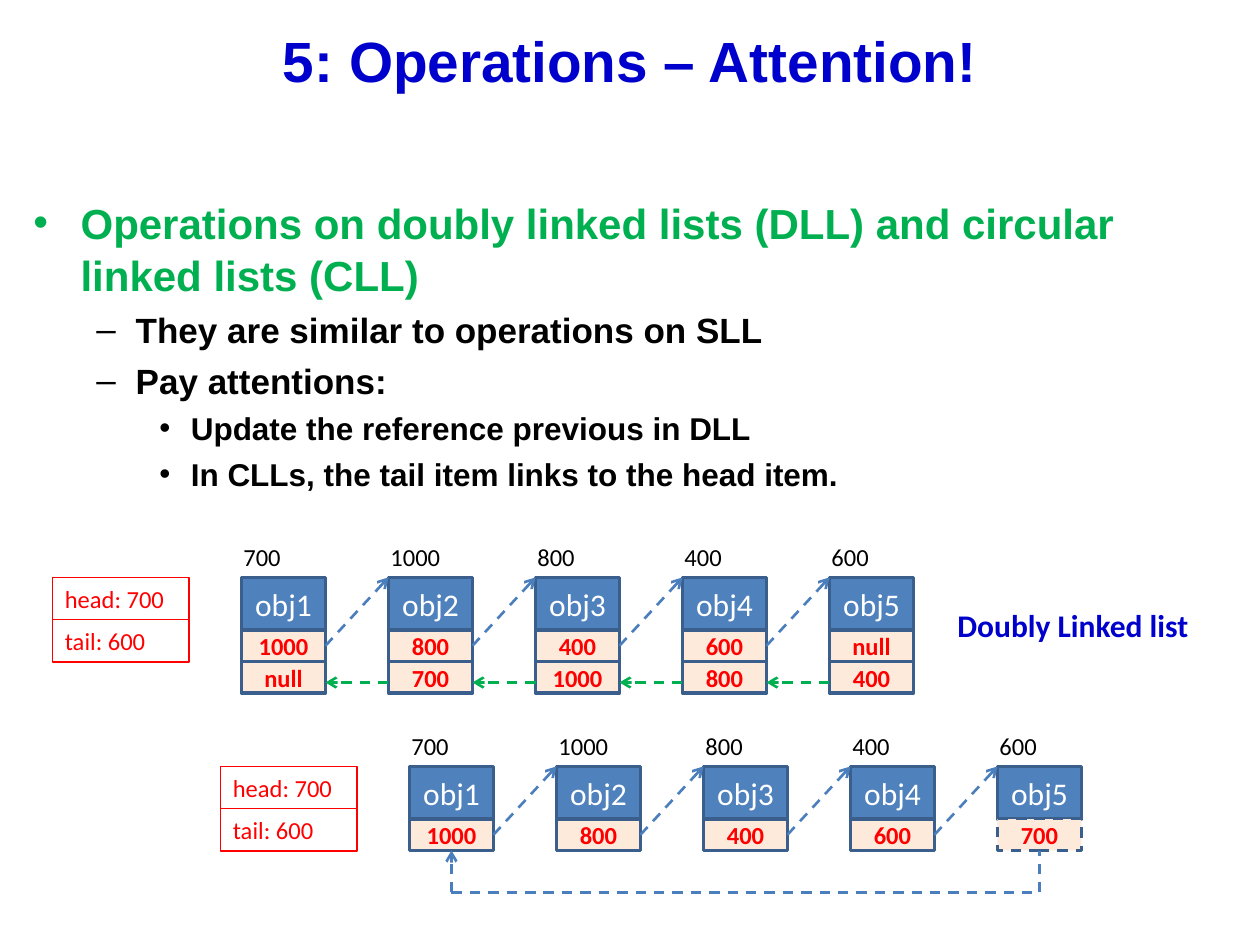
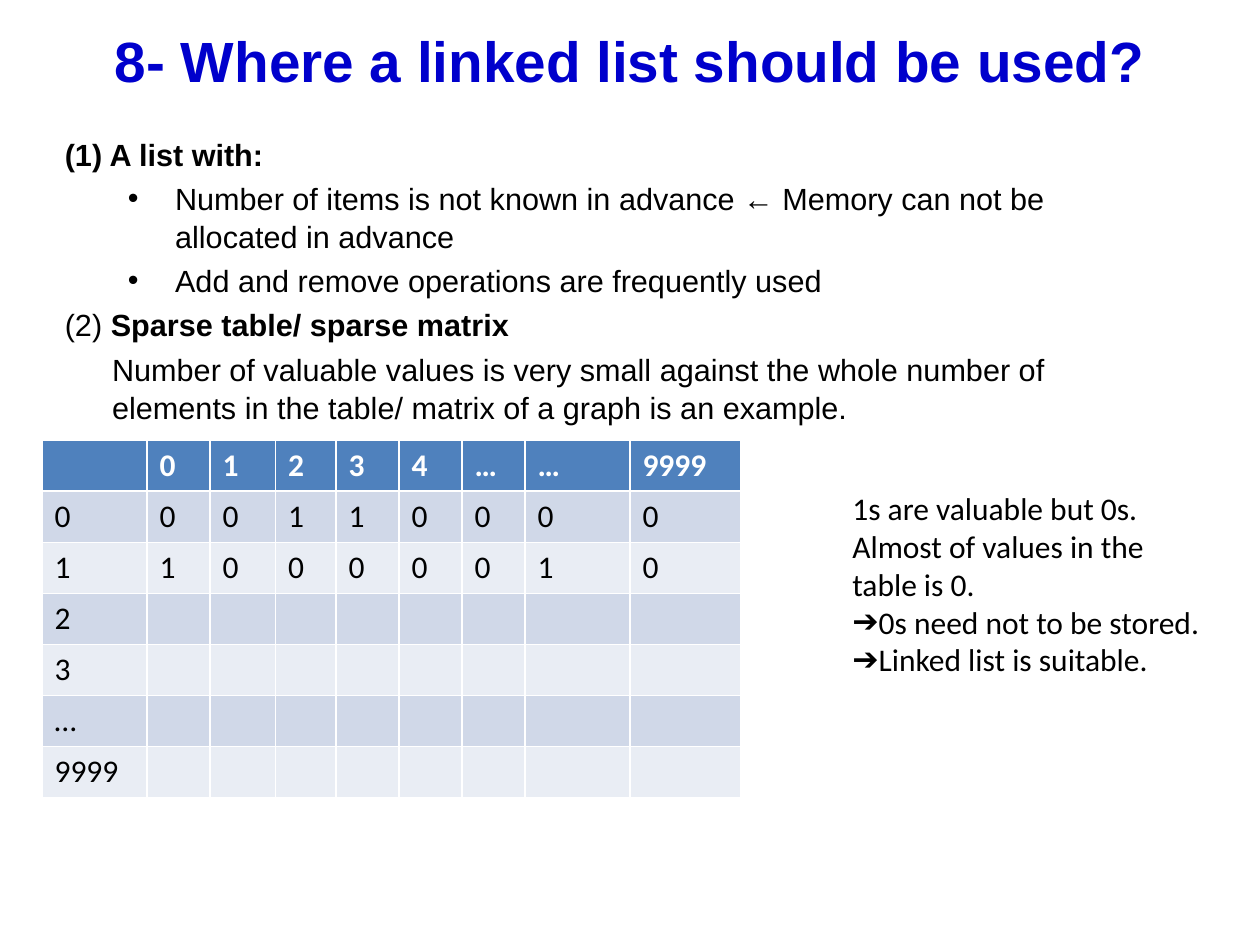
from lxml import etree
from pptx import Presentation
from pptx.dml.color import RGBColor
from pptx.enum import dml, shapes, text
from pptx.oxml.ns import qn
from pptx.util import Pt

# Colours
TITLE_BLUE = RGBColor(0x00, 0x00, 0xCC)
GREEN = RGBColor(0x00, 0xB0, 0x50)
BLACK = RGBColor(0, 0, 0)
WHITE = RGBColor(0xFF, 0xFF, 0xFF)
RED = RGBColor(0xFF, 0, 0)
BLUE = RGBColor(0x4F, 0x81, 0xBD)
OUTLINE = RGBColor(0x3A, 0x5F, 0x8C)
LINK_BLUE = RGBColor(0x4B, 0x7E, 0xBC)
PEACH = RGBColor(0xFD, 0xEA, 0xDA)
BAND_DARK = RGBColor(0xD0, 0xD8, 0xE8)
BAND_LIGHT = RGBColor(0xE9, 0xED, 0xF4)

# Content: slide 1, each line as (text, size, colour, indent, hanging, bullet)
OPERATIONS_TITLE = "5: Operations – Attention!"
OPERATIONS = [
    ("Operations on doubly linked lists (DLL) and circular linked lists (CLL)",
     24, GREEN, 27, 27, "•"),
    ("They are similar to operations on SLL", 20, BLACK, 58.5, 22.5, "–"),
    ("Pay attentions:", 20, BLACK, 58.5, 22.5, "–"),
    ("Update the reference previous in DLL", 18, BLACK, 90, 18, "•"),
    ("In CLLs, the tail item links to the head item.", 18, BLACK, 90, 18, "•"),
]
ADDRESSES = ["700", "1000", "800", "400", "600"]
DLL_FIELDS = [ADDRESSES[1:] + ["null"], ["null"] + ADDRESSES[:-1]]
CLL_FIELDS = [ADDRESSES[1:] + ADDRESSES[:1]]
ENDS = ["head: 700", "tail: 600"]

# Content: slide 2, each line as (runs with bold flag, indent, hanging, bullet)
USES_TITLE = "8- Where a linked list should be used?"
USES = [
    ([("(1) A list with:", True)], 27, 27, None),
    ([("Number of items is not known in advance ← Memory can not be "
       "allocated in advance", False)], 63, 27, "•"),
    ([("Add and remove operations are frequently used", False)], 63, 27, "•"),
    ([("(2) ", False), ("Sparse table/ sparse matrix", True)], 27, 27, None),
    ([("Number of valuable values is very small against the whole number of "
       "elements in the table/ matrix of a graph is an example.", False)],
     27, 0, None),
]
MATRIX = [
    ["", "0", "1", "2", "3", "4", "…", "…", "9999"],
    ["0", "0", "0", "1", "1", "0", "0", "0", "0"],
    ["1", "1", "0", "0", "0", "0", "0", "1", "0"],
    ["2"], ["3"], ["…"], ["9999"],
]
MATRIX_WIDTHS = [60, 36, 37.5, 34.5, 36, 36, 36, 60, 63.5]
ROW_HEIGHT = 29.2
REMARKS = [
    ("1s are valuable but 0s.", None),
    ("Almost of values in the table is 0.", None),
    ("0s need not to be stored.", "➔"),
    ("Linked list is suitable.", "➔"),
]

# Node geometry
NODE_W, PITCH = 48, 84
OBJ_H, FIELD_H = 30, 18


def add_run(paragraph, words, size, colour, font="Calibri", bold=False):
    run = paragraph.add_run()
    run.text = words
    run.font.size, run.font.name, run.font.bold = Pt(size), font, bold
    run.font.color.rgb = colour


def set_bullet(paragraph, mark, indent=0, hanging=0):
    props = paragraph._p.get_or_add_pPr()
    props.set("marL", str(Pt(indent)))
    props.set("indent", str(-Pt(hanging)))
    if mark:
        etree.SubElement(props, qn("a:buFont")).set("typeface", "Arial")
        etree.SubElement(props, qn("a:buChar")).set("char", mark)
    else:
        etree.SubElement(props, qn("a:buNone"))


def add_frame(slide, x, y, w, h):
    frame = slide.shapes.add_textbox(Pt(x), Pt(y), Pt(w), Pt(h)).text_frame
    frame.word_wrap = True
    return frame


def next_paragraph(frame, index):
    return frame.add_paragraph() if index else frame.paragraphs[0]


def start_slide(title):
    slide = deck.slides.add_slide(deck.slide_layouts[6])
    frame = add_frame(slide, 36, 12, 648, 45)
    frame.vertical_anchor = text.MSO_ANCHOR.MIDDLE
    heading = frame.paragraphs[0]
    heading.alignment = text.PP_ALIGN.CENTER
    add_run(heading, title, 32.4, TITLE_BLUE, "Arial", True)
    return slide


def add_body(slide, x, y, w, h, lines):
    """Lines are (runs, size, colour, indent, hanging, bullet)."""
    frame = add_frame(slide, x, y, w, h)
    frame.margin_right = Pt(12)
    for i, (runs, size, colour, indent, hanging, mark) in enumerate(lines):
        line = next_paragraph(frame, i)
        line.space_before = Pt(round(size * 0.2, 1))
        line.line_spacing = 1.04
        set_bullet(line, mark, indent, hanging)
        for words, bold in runs:
            add_run(line, words, size, colour, "Arial", bold)
    return frame


def add_box(slide, x, y, w, h, words, size, colour, fill=None, line=OUTLINE,
            weight=2, bold=False, centred=True):
    box = slide.shapes.add_shape(shapes.MSO_SHAPE.RECTANGLE,
                                 Pt(x), Pt(y), Pt(w), Pt(h))
    box.shadow.inherit = False
    if fill is None:
        box.fill.background()
    else:
        box.fill.solid()
        box.fill.fore_color.rgb = fill
    box.line.color.rgb, box.line.width = line, Pt(weight)
    box.text_frame.word_wrap = True
    box.text_frame.vertical_anchor = text.MSO_ANCHOR.MIDDLE
    label = box.text_frame.paragraphs[0]
    label.alignment = text.PP_ALIGN.CENTER if centred else text.PP_ALIGN.LEFT
    add_run(label, words, size, colour, bold=bold)
    return box


def add_link(slide, start, end, colour=LINK_BLUE, arrow=True):
    link = slide.shapes.add_connector(shapes.MSO_CONNECTOR.STRAIGHT,
                                      *(Pt(v) for v in start + end))
    link.line.color.rgb, link.line.width = colour, Pt(1.5)
    link.line.dash_style = dml.MSO_LINE.DASH
    if arrow:
        line_xml = link.line._get_or_add_ln()
        etree.SubElement(line_xml, qn("a:tailEnd")).set("type", "arrow")
    etree.SubElement(link._element.spPr, qn("a:effectLst"))


def add_list(slide, left, top, field_rows):
    """Draw head and tail, the nodes and the next links; return the fields."""
    for i, words in enumerate(ENDS):
        add_box(slide, left - 108, top + 24.2 * i, 78, 24.2, words, 14, RED,
                line=RED, weight=0.75, centred=False)
    fields = []
    for i, address in enumerate(ADDRESSES):
        x = left + PITCH * i
        label = add_frame(slide, x - 6, top - 24, 48 if i else 36, 24.2)
        add_run(label.paragraphs[0], address, 14, BLACK)
        add_box(slide, x, top, NODE_W, OBJ_H, f"obj{i + 1}", 18, WHITE, BLUE)
        for j, row in enumerate(field_rows):
            fields.append(add_box(slide, x, top + OBJ_H + FIELD_H * j, NODE_W,
                                  FIELD_H, row[i], 14, RED, PEACH, bold=True))
        if i:
            add_link(slide, (x - PITCH + NODE_W, top + OBJ_H + FIELD_H / 2),
                     (x, top))
    return fields


deck = Presentation()
deck.slide_width, deck.slide_height = Pt(720), Pt(540)

# Slide 1: operations
operations = start_slide(OPERATIONS_TITLE)
add_body(operations, 12, 108, 678, 174,
         [([(line[0], True)],) + line[1:] for line in OPERATIONS])

# Doubly linked list with its previous links
dll_left, dll_top = 138, 330
add_list(operations, dll_left, dll_top, DLL_FIELDS)
previous_y = dll_top + 60
for i in range(1, len(ADDRESSES)):
    node_x = dll_left + PITCH * i
    add_link(operations, (node_x, previous_y),
             (node_x - PITCH + NODE_W, previous_y), GREEN)
caption = add_frame(operations, 540, 343, 162, 29)
add_run(caption.paragraphs[0], "Doubly Linked list", 18, TITLE_BLUE, bold=True)

# Circular linked list with the link from tail to head
cll_left, cll_top = 234, 438
tail_field = add_list(operations, cll_left, cll_top, CLL_FIELDS)[-1]
tail_field.line.width = Pt(1.5)
tail_field.line.dash_style = dml.MSO_LINE.DASH
head_x = cll_left + NODE_W / 2
tail_x = head_x + PITCH * (len(ADDRESSES) - 1)
node_bottom = cll_top + OBJ_H + FIELD_H
return_y = node_bottom + 24
add_link(operations, (head_x, return_y), (head_x, node_bottom))
add_link(operations, (head_x, return_y), (tail_x, return_y), arrow=False)
add_link(operations, (tail_x, return_y), (tail_x, node_bottom), arrow=False)

# Slide 2: uses of a linked list
uses = start_slide(USES_TITLE)
uses_body = add_body(uses, 30, 78, 648, 156,
                     [(line[0], 17.5, BLACK) + line[1:] for line in USES])
uses_body.paragraphs[0].line_spacing = 0.8

# Sparse matrix
matrix = uses.shapes.add_table(
    len(MATRIX), len(MATRIX_WIDTHS), Pt(24), Pt(251.5),
    Pt(sum(MATRIX_WIDTHS)), Pt(ROW_HEIGHT * len(MATRIX))).table
for column, width in zip(matrix.columns, MATRIX_WIDTHS):
    column.width = Pt(width)
for r, values in enumerate(MATRIX):
    matrix.rows[r].height = Pt(ROW_HEIGHT)
    band = BLUE if r == 0 else BAND_DARK if r % 2 else BAND_LIGHT
    for cell in matrix.rows[r].cells:
        cell.fill.solid()
        cell.fill.fore_color.rgb = band
    for c, value in enumerate(values):
        if value:
            add_run(matrix.cell(r, c).text_frame.paragraphs[0], value, 18,
                    BLACK if r else WHITE, bold=r == 0)

# Remarks beside the matrix
remarks = add_frame(uses, 480, 276, 216, 138)
for i, (words, mark) in enumerate(REMARKS):
    remark = next_paragraph(remarks, i)
    set_bullet(remark, mark)
    add_run(remark, words, 18, BLACK)

deck.save("out.pptx")
